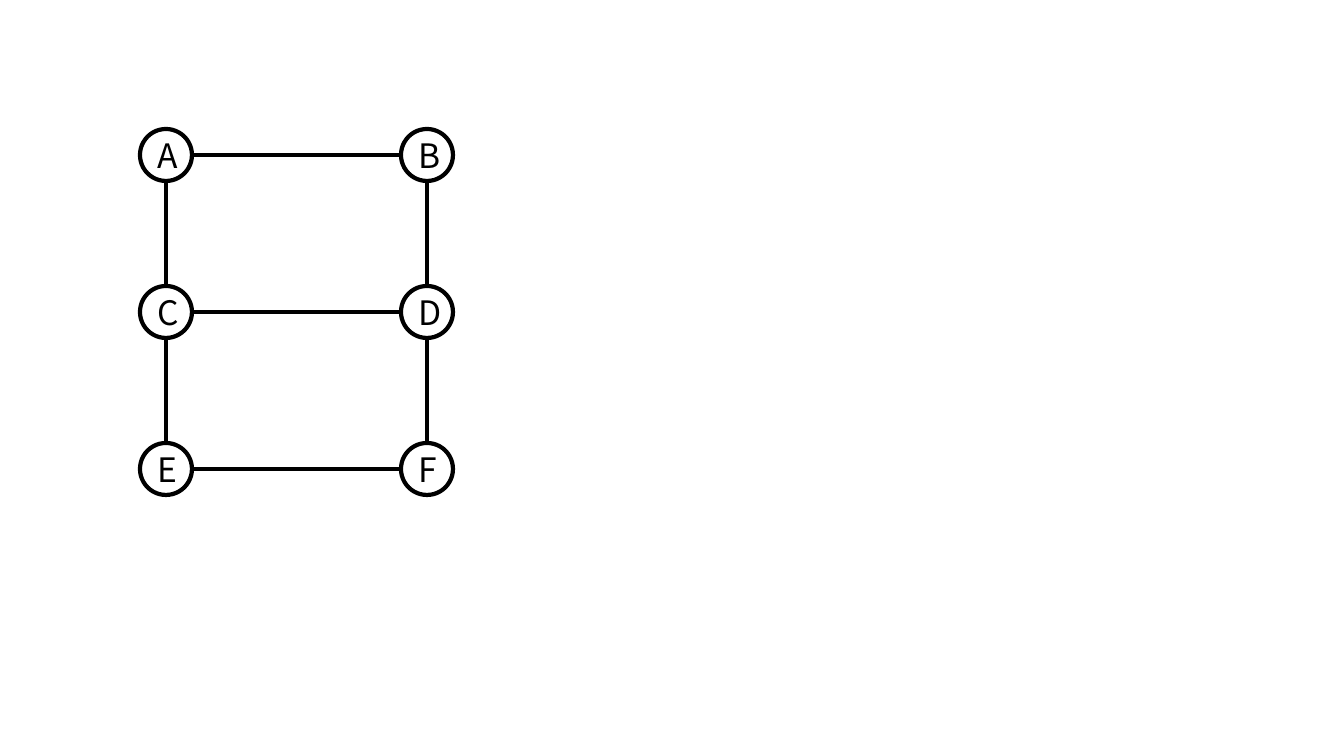
from typing import NamedTuple

from lxml import etree
from pptx import Presentation
from pptx.dml.color import RGBColor
from pptx.enum.shapes import MSO_CONNECTOR, MSO_SHAPE
from pptx.enum.text import MSO_ANCHOR, PP_ALIGN
from pptx.oxml.ns import qn
from pptx.util import Emu, Pt

OVAL = MSO_SHAPE.OVAL
LINE = MSO_CONNECTOR.STRAIGHT
MIDDLE = MSO_ANCHOR.MIDDLE
CENTER = PP_ALIGN.CENTER

SCALE = 914400 / 100.8
WIDE, HIGH = 1344, 756
LEFT, TOP = 140, 129
SIZE = 52
HALF = SIZE // 2
STEP_X, STEP_Y = 261, 157
COLORS = {"ink": "000000"}
FONT = {"name": "Noto Sans CJK KR", "size": Pt(24)}
GRID = ("AB", "CD", "EF")


class Node(NamedTuple):
    name: str
    left: int
    top: int


class Edge(NamedTuple):
    start: str
    end: str


def px(value: int) -> Emu:
    return Emu(round(value * SCALE))


def ink() -> RGBColor:
    return RGBColor.from_string(COLORS["ink"])


def set_line(line) -> None:
    line.color.rgb = ink()
    line.width = Pt(3)


def draw_node(slide, node: Node) -> None:
    shape = slide.shapes.add_shape(
        OVAL, px(node.left), px(node.top), px(SIZE), px(SIZE)
    )
    shape.shadow.inherit = False
    shape.fill.background()
    set_line(shape.line)
    frame = shape.text_frame
    frame.vertical_anchor = MIDDLE
    para = frame.paragraphs[0]
    para.alignment = CENTER
    run = para.add_run()
    run.text = node.name
    for key, value in FONT.items():
        setattr(run.font, key, value)
    run.font.color.rgb = ink()


def draw_edge(slide, start: Node, end: Node) -> None:
    if start.top == end.top:
        mid = start.top + HALF
        ends = (start.left + SIZE, mid, end.left, mid)
    else:
        mid = start.left + HALF
        ends = (mid, start.top + SIZE, mid, end.top)
    link = slide.shapes.add_connector(LINE, *map(px, ends))
    set_line(link.line)
    etree.SubElement(link._element.spPr, qn("a:effectLst"))


deck = Presentation()
deck.slide_width, deck.slide_height = px(WIDE), px(HIGH)
slide = deck.slides.add_slide(deck.slide_layouts.get_by_name("Blank"))

nodes = {
    name: Node(name, LEFT + col * STEP_X, TOP + row * STEP_Y)
    for row, names in enumerate(GRID)
    for col, name in enumerate(names)
}
edges = [Edge(*names) for names in GRID]
edges += [
    Edge(*pair)
    for names in zip(*GRID)
    for pair in zip(names, names[1:])
]

for node in nodes.values():
    draw_node(slide, node)
for edge in edges:
    draw_edge(slide, nodes[edge.start], nodes[edge.end])

deck.save("out.pptx")
